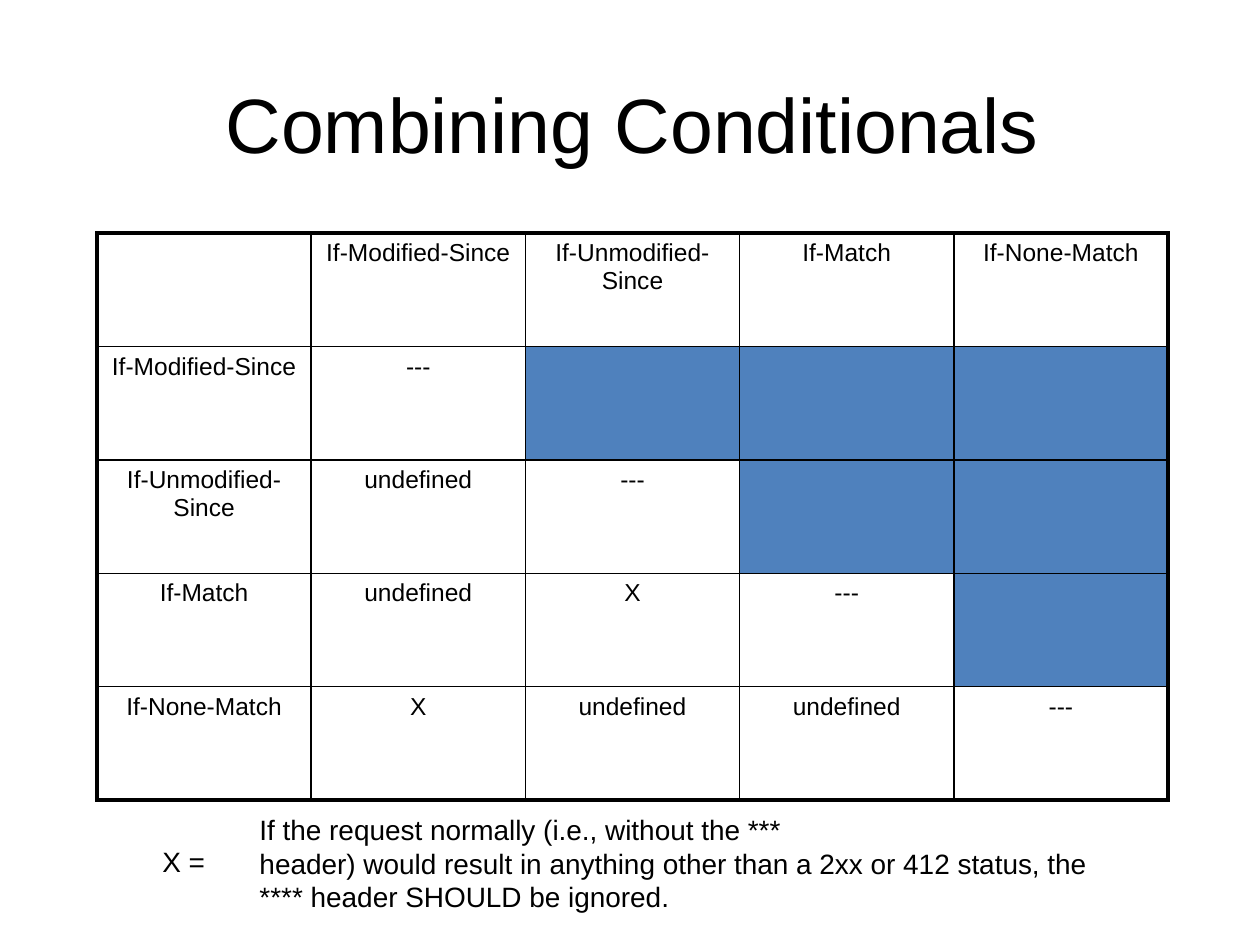
from dataclasses import dataclass

from lxml import etree
from pptx import Presentation
from pptx.dml.color import RGBColor
from pptx.enum.text import MSO_ANCHOR, PP_ALIGN
from pptx.oxml.ns import qn
from pptx.util import Inches, Pt

CENTER, LEFT = PP_ALIGN.CENTER, PP_ALIGN.LEFT
MIDDLE, TOP = MSO_ANCHOR.MIDDLE, MSO_ANCHOR.TOP


@dataclass(frozen=True)
class Theme:
    font: str = "Arial"
    ink: str = "000000"
    paper: str = "FFFFFF"
    unused: str = "4F81BD"
    title_size: float = 44
    cell_size: float = 14
    legend_size: float = 16
    inner_line: float = 1
    outer_line: float = 2.25


THEME = Theme()
TITLE_ONLY = 5
GRID_LEFT, GRID_TOP = 0.77, 1.85
COLUMN_WIDTH, ROW_HEIGHT = 1.7, 0.9
HEADERS = ["If-Modified-Since", "If-Unmodified-Since", "If-Match", "If-None-Match"]
OUTCOMES = [
    ["---"],
    ["undefined", "---"],
    ["undefined", "X", "---"],
    ["X", "undefined", "undefined", "---"],
]
RULE = [
    "If the request normally (i.e., without the ***",
    "header) would result in anything other than a 2xx or 412 status, the",
    "**** header SHOULD be ignored.",
]


def write(frame, lines, size, align=LEFT, anchor=TOP):
    frame.vertical_anchor = anchor
    for index, line in enumerate(lines):
        paragraph = frame.add_paragraph() if index else frame.paragraphs[0]
        paragraph.alignment = align
        run = paragraph.add_run()
        run.text = line
        run.font.size = Pt(size)
        run.font.name = THEME.font
        run.font.color.rgb = RGBColor.from_string(THEME.ink)


def add_title(slide, title):
    heading = slide.shapes.title
    heading.left, heading.top = Inches(GRID_LEFT), Inches(0.35)
    heading.width, heading.height = Inches(5 * COLUMN_WIDTH), Inches(1.25)
    write(heading.text_frame, [title], THEME.title_size, align=CENTER, anchor=MIDDLE)


def border_cell(cell, outer_sides):
    properties = cell._tc.get_or_add_tcPr()
    for position, (side, is_outer) in enumerate(outer_sides.items()):
        width = THEME.outer_line if is_outer else THEME.inner_line
        line = etree.Element(qn(f"a:{side}"), w=str(Pt(width)))
        fill = etree.SubElement(line, qn("a:solidFill"))
        etree.SubElement(fill, qn("a:srgbClr"), val=THEME.ink)
        properties.insert(position, line)


def add_matrix(slide):
    rows = [[""] + HEADERS]
    rows += [[header] + results for header, results in zip(HEADERS, OUTCOMES)]
    count = len(rows)
    matrix = slide.shapes.add_table(
        count, count, Inches(GRID_LEFT), Inches(GRID_TOP),
        Inches(count * COLUMN_WIDTH), Inches(count * ROW_HEIGHT),
    ).table
    matrix.first_row = matrix.horz_banding = False
    last = count - 1
    for row, labels in enumerate(rows):
        for column in range(count):
            cell = matrix.cell(row, column)
            is_used = column < len(labels)
            cell.fill.solid()
            cell.fill.fore_color.rgb = RGBColor.from_string(
                THEME.paper if is_used else THEME.unused
            )
            border_cell(cell, {
                "lnL": column == 0, "lnR": column == last,
                "lnT": row == 0, "lnB": row == last,
            })
            if is_used and labels[column]:
                write(cell.text_frame, [labels[column]], THEME.cell_size, align=CENTER)


def add_legend(slide, lines, left, top, width, height, margin_left=0.1):
    legend = slide.shapes.add_textbox(
        Inches(left), Inches(top), Inches(width), Inches(height)
    )
    frame = legend.text_frame
    frame.word_wrap = True
    frame.margin_left, frame.margin_right = Inches(margin_left), 0
    write(frame, lines, THEME.legend_size)


def main():
    deck = Presentation()
    deck.slide_width, deck.slide_height = Inches(10), Inches(7.5)
    slide = deck.slides.add_slide(deck.slide_layouts[TITLE_ONLY])
    add_title(slide, "Combining Conditionals")
    add_matrix(slide)
    add_legend(slide, RULE, 1.78, 6.4, 7.04, 0.91, margin_left=0.28)
    add_legend(slide, ["X ="], 1.19, 6.65, 0.54, 0.37)
    deck.save("out.pptx")


if __name__ == "__main__":
    main()
